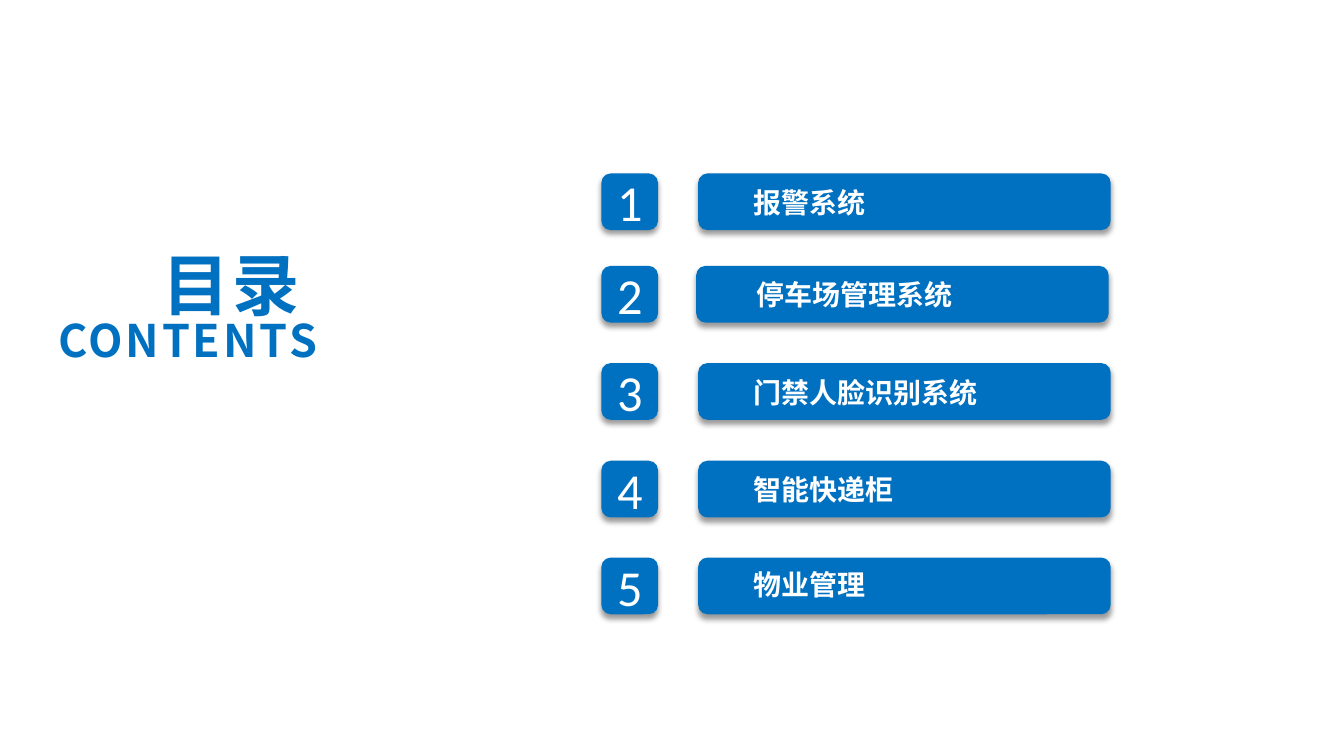
"""Build the contents slide: a title block and five numbered bars."""
from lxml.etree import SubElement
from pptx import Presentation
from pptx.dml.color import RGBColor
from pptx.enum.shapes import MSO_SHAPE
from pptx.enum.text import MSO_ANCHOR, MSO_AUTO_SIZE, PP_ALIGN
from pptx.oxml.ns import qn
from pptx.util import Cm, Pt

TITLE = [("目录 ", 48, 0.9), ("CONTENTS", 32, 0.77)]
# label, row top, bar left, label left, label top
ROWS = [
    ("报警系统", 4.37, 17.6, 18.67, 4.5),
    ("停车场管理系统", 6.7, 17.55, 18.74, 6.81),
    ("门禁人脸识别系统", 9.15, 17.6, 18.67, 9.27),
    ("智能快递柜", 11.61, 17.6, 18.67, 11.73),
    ("物业管理", 14.05, 17.6, 18.67, 14.12),
]
THEME = {
    "blue": RGBColor(0x00, 0x70, 0xC0),
    "white": RGBColor(0xFF, 0xFF, 0xFF),
    "cjk": "Noto Sans CJK SC",
    "latin": "Calibri",
    "number": 36,
    "label": 20,
}
BADGE_LEFT, BADGE, BAR_WIDTH = 15.16, 1.43, 10.4
LABEL_WIDTH, LABEL_HEIGHT = 7.6, 1.2


def set_insets(tf):
    tf.margin_left = tf.margin_right = Cm(0.33)
    tf.margin_top = tf.margin_bottom = Cm(0.18)
    tf.word_wrap = True


def style(p, size, face, color, bold=False):
    r = p.runs[0]
    r.font.size, r.font.bold, r.font.name = Pt(size), bold, face
    r.font.color.rgb = color
    SubElement(r._r.get_or_add_rPr(), qn("a:ea"), typeface=face)
    return r


def add_text(s, left, top, width, height):
    tf = s.shapes.add_textbox(Cm(left), Cm(top), Cm(width), Cm(height)).text_frame
    set_insets(tf)
    tf.auto_size = MSO_AUTO_SIZE.NONE
    return tf


def add_block(s, left, top, width):
    sp = s.shapes.add_shape(MSO_SHAPE.ROUNDED_RECTANGLE, Cm(left), Cm(top), Cm(width), Cm(BADGE))
    sp.fill.solid()
    sp.fill.fore_color.rgb = THEME["blue"]
    sp.line.fill.background()
    sp.shadow.inherit = False
    effects = sp._element.spPr.find(qn("a:effectLst"))
    shadow = SubElement(effects, qn("a:outerShdw"), blurRad=str(Pt(4)), dist=str(Pt(3)),
                        dir="5400000", algn="t", rotWithShape="0")
    black = SubElement(shadow, qn("a:srgbClr"), val="000000")
    SubElement(black, qn("a:alpha"), val="40000")
    return sp


def add_row(s, number, label, top, bar_left, label_left, label_top):
    tf = add_block(s, BADGE_LEFT, top, BADGE).text_frame
    set_insets(tf)
    tf.vertical_anchor = MSO_ANCHOR.MIDDLE
    tf.text = str(number)
    tf.paragraphs[0].alignment = PP_ALIGN.CENTER
    style(tf.paragraphs[0], THEME["number"], THEME["latin"], THEME["white"])

    add_block(s, bar_left, top, BAR_WIDTH)
    tf = add_text(s, label_left, label_top, LABEL_WIDTH, LABEL_HEIGHT)
    tf.text = label
    style(tf.paragraphs[0], THEME["label"], THEME["cjk"], THEME["white"], True)


def add_title(s):
    tf = add_text(s, 0.53, 6.17, 7.8, 3.76)
    tf.text = "\n".join(text for text, _, _ in TITLE)
    for p, (_, size, spacing) in zip(tf.paragraphs, TITLE):
        p.alignment = PP_ALIGN.RIGHT
        p.line_spacing = spacing
        r = style(p, size, THEME["cjk"], THEME["blue"], True)
        r._r.get_or_add_rPr().set("spc", "200")


def main():
    prs = Presentation()
    prs.slide_width, prs.slide_height = Cm(33.88), Cm(19.05)
    s = prs.slides.add_slide(prs.slide_layouts[6])
    for number, row in enumerate(ROWS, 1):
        add_row(s, number, *row)
    add_title(s)
    prs.save("out.pptx")


if __name__ == "__main__":
    main()
